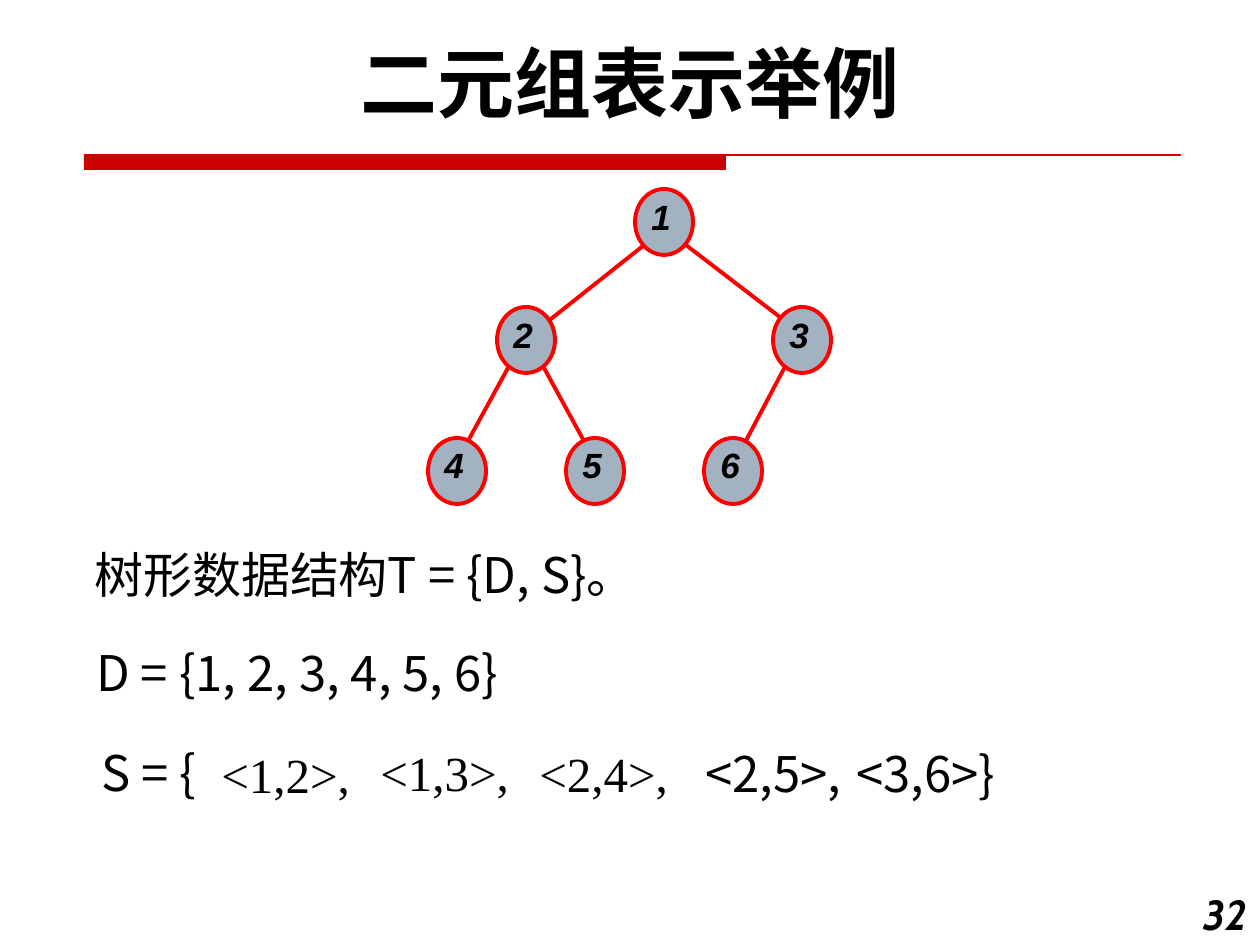
from lxml.etree import SubElement
from pptx import Presentation
from pptx.dml.color import RGBColor
from pptx.enum.shapes import MSO_CONNECTOR, MSO_SHAPE
from pptx.enum.text import MSO_AUTO_SIZE, PP_ALIGN
from pptx.oxml.ns import qn
from pptx.util import Emu, Pt

PX_PER_INCH = 126
BLACK = RGBColor(0x00, 0x00, 0x00)
DARK_RED = RGBColor(0xCC, 0x00, 0x00)
RED = RGBColor(0xFF, 0x00, 0x00)
GREY_BLUE = RGBColor(0xA3, 0xB2, 0xC1)

SANS = "Noto Sans CJK SC"
SERIF = "Times New Roman"
HEADING = "Cabin"

# Tree nodes: label -> (column, row top)
NODE_WIDTH, NODE_HEIGHT = 58, 66
TREE_LEFT, COLUMN_STEP = 428, 69
NODES = {
    "1": (3, 189),
    "2": (1, 307),
    "3": (5, 307),
    "4": (0, 438),
    "5": (2, 438),
    "6": (4, 438),
}
EDGES = [
    (682, 242, 785, 321),
    (648, 242, 532, 334),
    (532, 346, 590, 452),
    (796, 346, 740, 452),
    (520, 346, 462, 452),
]

# Members of the relation S: text, left, top, font
PAIRS = [
    ("S = {", 89, 736, SANS),
    ("<1,2>,", 209, 738, SERIF),
    ("<1,3>,", 368, 736, SERIF),
    ("<2,4>,", 527, 737, SERIF),
    ("<2,5>,", 693, 737, SANS),
    ("<3,6>}", 844, 737, SANS),
]


def px(length):
    return Emu(round(length * 914400 / PX_PER_INCH))


def add_text(slide, text, left, top, width, height, size, font_name,
             bold=False, italic=False, align=PP_ALIGN.LEFT):
    shape = slide.shapes.add_textbox(px(left), px(top), px(width), px(height))
    frame = shape.text_frame
    frame.word_wrap = True
    frame.auto_size = MSO_AUTO_SIZE.NONE
    paragraph = frame.paragraphs[0]
    paragraph.text = text
    paragraph.alignment = align
    font = paragraph.font
    font.size = Pt(size)
    font.bold = bold
    font.italic = italic
    font.color.rgb = BLACK
    font.name = font_name
    # East Asian characters use the same typeface
    properties = paragraph._p.pPr.find(qn("a:defRPr"))
    SubElement(properties, qn("a:ea"), typeface=font_name)
    return frame


def add_line(slide, x1, y1, x2, y2, color, width):
    line = slide.shapes.add_connector(
        MSO_CONNECTOR.STRAIGHT, px(x1), px(y1), px(x2), px(y2))
    line.line.color.rgb = color
    line.line.width = Pt(width)
    SubElement(line._element.spPr, qn("a:effectLst"))


def add_header_rule(slide):
    bar = slide.shapes.add_shape(
        MSO_SHAPE.RECTANGLE, px(84), px(155), px(642), px(15))
    bar.shadow.inherit = False
    bar.fill.solid()
    bar.fill.fore_color.rgb = DARK_RED
    bar.line.fill.background()
    add_line(slide, 84, 155, 1181, 155, DARK_RED, 0.75)


def add_node(slide, label, column, top):
    left = TREE_LEFT + column * COLUMN_STEP
    node = slide.shapes.add_shape(
        MSO_SHAPE.OVAL, px(left), px(top), px(NODE_WIDTH), px(NODE_HEIGHT))
    node.shadow.inherit = False
    node.fill.solid()
    node.fill.fore_color.rgb = GREY_BLUE
    node.line.color.rgb = RED
    node.line.width = Pt(2.25)
    frame = add_text(slide, label, left + 4, top + 6, 46, 43, 20, "Arial",
                     bold=True, italic=True)
    frame.word_wrap = False
    frame.margin_top = frame.margin_bottom = 0


def main():
    presentation = Presentation()
    presentation.slide_width = px(1260)
    presentation.slide_height = px(945)
    slide = presentation.slides.add_slide(presentation.slide_layouts[6])

    # Title, rule and page number
    add_header_rule(slide)
    add_text(slide, "二元组表示举例", 48, 29, 1165, 106, 44, HEADING,
             bold=True, align=PP_ALIGN.CENTER)
    add_text(slide, "32", 1176, 882, 84, 63, 24, HEADING,
             bold=True, italic=True, align=PP_ALIGN.RIGHT)

    # Tree, edges behind nodes
    for edge in EDGES:
        add_line(slide, *edge, RED, 2.25)
    for label, (column, top) in NODES.items():
        add_node(slide, label, column, top)

    # Definition of the structure
    add_text(slide, "树形数据结构T = {D, S}。", 82, 538, 1170, 92, 28, SANS)
    add_text(slide, "D = {1, 2, 3, 4, 5, 6}", 84, 636, 963, 72, 28, SANS)
    for text, left, top, font_name in PAIRS:
        add_text(slide, text, left, top, 179, 72, 28, font_name)

    presentation.save("out.pptx")


if __name__ == "__main__":
    main()
